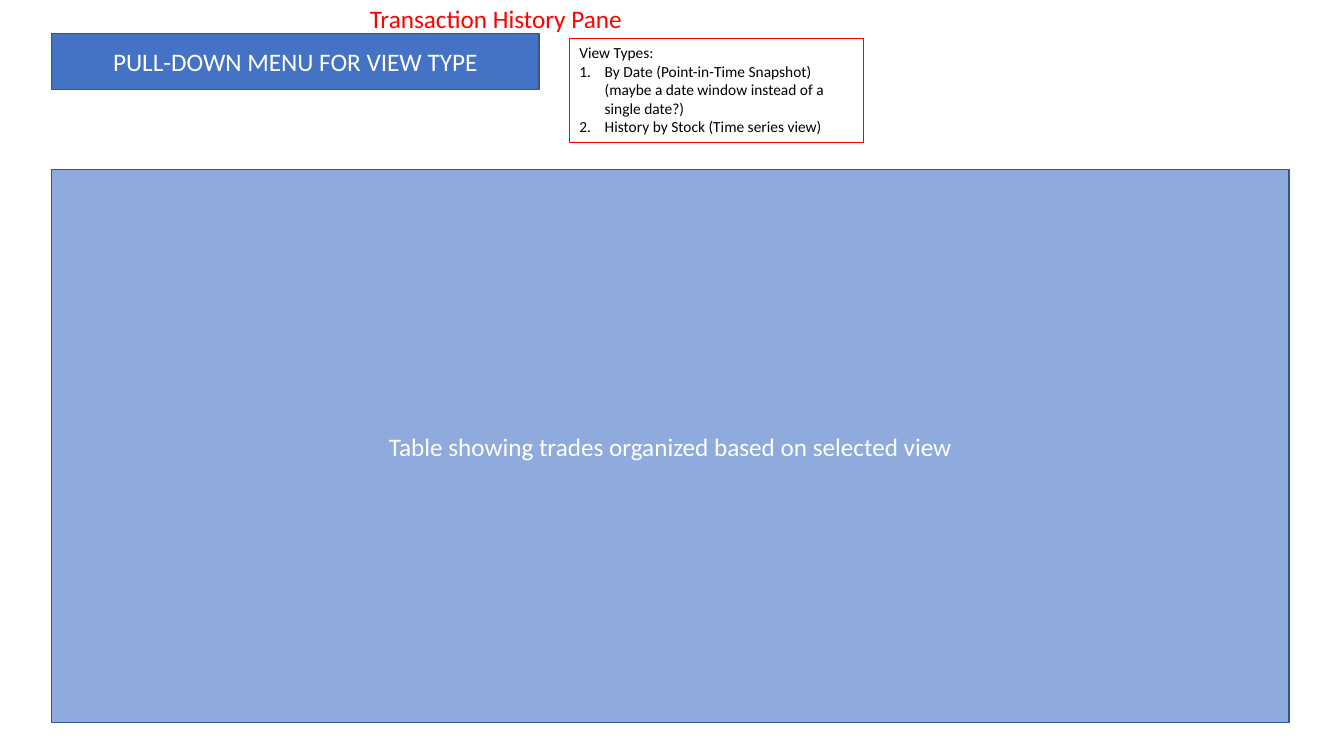
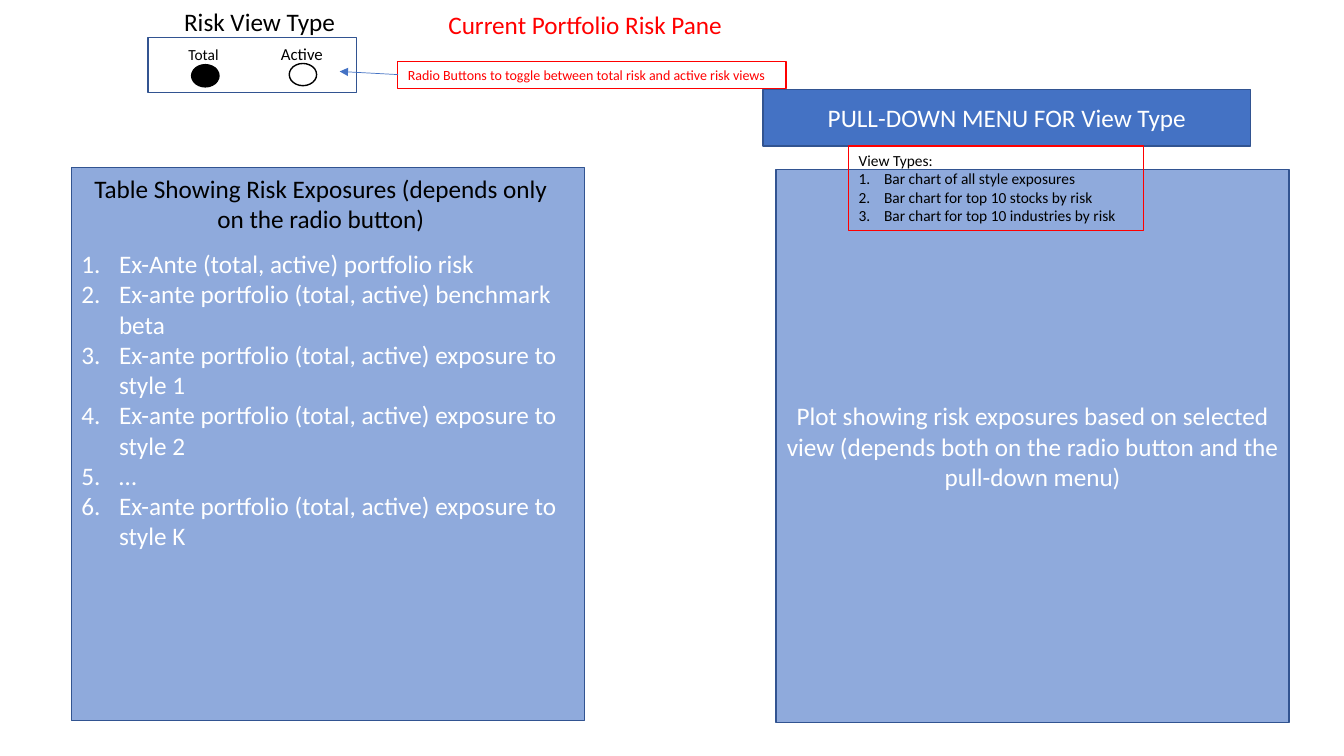
from lxml.etree import SubElement
from pptx import Presentation
from pptx.dml.color import RGBColor
from pptx.enum.shapes import MSO_CONNECTOR, MSO_SHAPE
from pptx.enum.text import MSO_ANCHOR as Anchor, MSO_AUTO_SIZE as AutoSize, PP_ALIGN as Align
from pptx.oxml.ns import qn
from pptx.util import Cm, Pt

FONT = "Calibri"
BLUE = RGBColor(0x44, 0x72, 0xC4)
PALE_BLUE = RGBColor(0x8F, 0xAA, 0xDC)
EDGE = RGBColor(0x32, 0x54, 0x91)
RED = RGBColor(0xFF, 0x00, 0x00)
BLACK = RGBColor(0x00, 0x00, 0x00)
WHITE = RGBColor(0xFF, 0xFF, 0xFF)

MENU_SIZE = (12.29, 1.42)
PANEL_TOP, PANEL_HEIGHT = 4.27, 13.94
HALF_WIDTH = 12.93


def write(frame, lines, size, color, align=Align.LEFT, indent=None, intro=0):
    """Fill a frame; with an indent, lines after the intro ones are numbered."""
    for index, line in enumerate(lines):
        paragraph = frame.paragraphs[0] if index == 0 else frame.add_paragraph()
        paragraph.alignment = align
        run = paragraph.add_run()
        run.text = line
        run.font.name = FONT
        run.font.size = Pt(size)
        run.font.color.rgb = color
        if indent and index >= intro:
            properties = paragraph._p.get_or_add_pPr()
            properties.set("marL", str(Cm(indent)))
            properties.set("indent", str(-Cm(indent)))
            SubElement(properties, qn("a:buFont"), typeface="+mj-lt")
            SubElement(properties, qn("a:buAutoNum"), type="arabicPeriod")


def add_box(slide, box, fill=None, edge=EDGE, weight=1, kind=MSO_SHAPE.RECTANGLE):
    """Draw an outlined shape and return its text frame."""
    shape = slide.shapes.add_shape(kind, *map(Cm, box))
    shape.shadow.inherit = False
    if fill is None:
        shape.fill.background()
    else:
        shape.fill.solid()
        shape.fill.fore_color.rgb = fill
    shape.line.color.rgb = edge
    shape.line.width = Pt(weight)
    frame = shape.text_frame
    frame.word_wrap = True
    return frame


def add_block(slide, box, fill, text):
    """Draw a filled block with its caption in the middle."""
    frame = add_box(slide, box, fill)
    frame.vertical_anchor = Anchor.MIDDLE
    write(frame, [text], 18, WHITE, Align.CENTER)


def add_menu(slide, left, top, text):
    """Draw the pull-down menu bar."""
    add_block(slide, (left, top, *MENU_SIZE), BLUE, text)


def add_note(slide, box, lines, size, color, **numbering):
    """Draw a red-framed remark."""
    frame = add_box(slide, box, edge=RED, weight=0.75)
    frame.vertical_anchor = Anchor.TOP
    write(frame, lines, size, color, **numbering)


def add_view_types(slide, left, top, height, views):
    """List the choices of the pull-down menu."""
    add_note(slide, (left, top, 7.42, height), ["View Types:", *views], 11, BLACK,
             indent=0.64, intro=1)


def add_label(slide, box, text, size=18, color=BLACK, wrap=False, align=Align.LEFT):
    """Place text without a frame."""
    frame = slide.shapes.add_textbox(*map(Cm, box)).text_frame
    frame.word_wrap = wrap
    frame.auto_size = AutoSize.SHAPE_TO_FIT_TEXT
    write(frame, [text], size, color, align)


def add_title(slide, left, top, width, text):
    """Place the red pane title."""
    add_label(slide, (left, top, width, 1.02), text, color=RED)


def add_exposure_list(slide, left, top, heading, items):
    """Draw the panel with a heading above numbered exposures."""
    frame = add_box(slide, (left, top, HALF_WIDTH, PANEL_HEIGHT), PALE_BLUE)
    frame.vertical_anchor = Anchor.TOP
    frame.margin_top = Cm(2.04)
    write(frame, items, 18, WHITE, indent=0.95)
    add_label(slide, (left, top + 0.02, 12.57, 1.8), heading, wrap=True, align=Align.CENTER)


def add_radio_buttons(slide, left, top):
    """Draw the switch between total and active risk."""
    add_box(slide, (left, top, 5.26, 1.4), WHITE)
    for dx, dy, fill in ((1.1, 0.69, BLACK), (3.56, 0.66, WHITE)):
        add_box(slide, (left + dx, top + dy, 0.69, 0.56), fill, BLACK, kind=MSO_SHAPE.OVAL)
    add_label(slide, (left + 0.77, top + 0.08, 1.32, 0.74), "Total", 11)
    add_label(slide, (left + 3.1, top + 0.03, 1.57, 0.76), "Active", 12)
    add_label(slide, (left + 0.66, top - 0.91, 4.37, 1.02), "Risk View Type")


def add_arrow(slide, start, end):
    """Draw a thin arrow from start to end."""
    arrow = slide.shapes.add_connector(MSO_CONNECTOR.STRAIGHT, *map(Cm, (*start, *end)))
    arrow.line.color.rgb = BLUE
    arrow.line.width = Pt(0.5)
    SubElement(arrow.line._get_or_add_ln(), qn("a:tailEnd"), type="triangle")
    SubElement(arrow._element.spPr, qn("a:effectLst"))


def build_history(slide):
    """Build the transaction history pane."""
    left = 1.3
    add_menu(slide, left, 0.84, "PULL-DOWN MENU FOR VIEW TYPE")
    add_block(slide, (left, PANEL_TOP, 31.19, PANEL_HEIGHT), PALE_BLUE,
              "Table showing trades organized based on selected view")
    add_view_types(slide, 14.35, 0.97, 2.62, [
        "By Date (Point-in-Time Snapshot) (maybe a date window instead of a single date?)",
        "History by Stock (Time series view)"])
    add_title(slide, 9.07, -0.03, 6.93, "Transaction History Pane")


def build_risk(slide):
    """Build the current portfolio risk pane."""
    add_menu(slide, 19.23, 2.26, "PULL-DOWN MENU FOR View Type")
    add_block(slide, (19.56, PANEL_TOP, HALF_WIDTH, PANEL_HEIGHT), PALE_BLUE,
              "Plot showing risk exposures based on selected view "
              "(depends both on the radio button and the pull-down menu)")
    add_view_types(slide, 21.39, 3.68, 2.13, [
        "Bar chart of all style exposures",
        "Bar chart for top 10 stocks by risk",
        "Bar chart for top 10 industries by risk"])
    add_title(slide, 11.05, 0.1, 7.49, "Current Portfolio Risk Pane")
    exposure = "Ex-ante portfolio (total, active) exposure to style "
    add_exposure_list(
        slide, 1.8, 4.22, "Table Showing Risk Exposures (depends only on the radio button)",
        ["Ex-Ante (total, active) portfolio risk",
         "Ex-ante portfolio (total, active) benchmark beta",
         exposure + "1", exposure + "2", "…", exposure + "K"])
    add_note(slide, (10.03, 1.55, 9.78, 0.69),
             ["Radio Buttons to toggle between total risk and active risk views"], 10, RED)
    add_radio_buttons(slide, 3.73, 0.94)
    add_arrow(slide, (10.03, 1.88), (8.56, 1.8))


deck = Presentation()
deck.slide_width, deck.slide_height = Cm(33.87), Cm(19.05)
for build_pane in (build_history, build_risk):
    build_pane(deck.slides.add_slide(deck.slide_layouts[6]))
deck.save("out.pptx")
